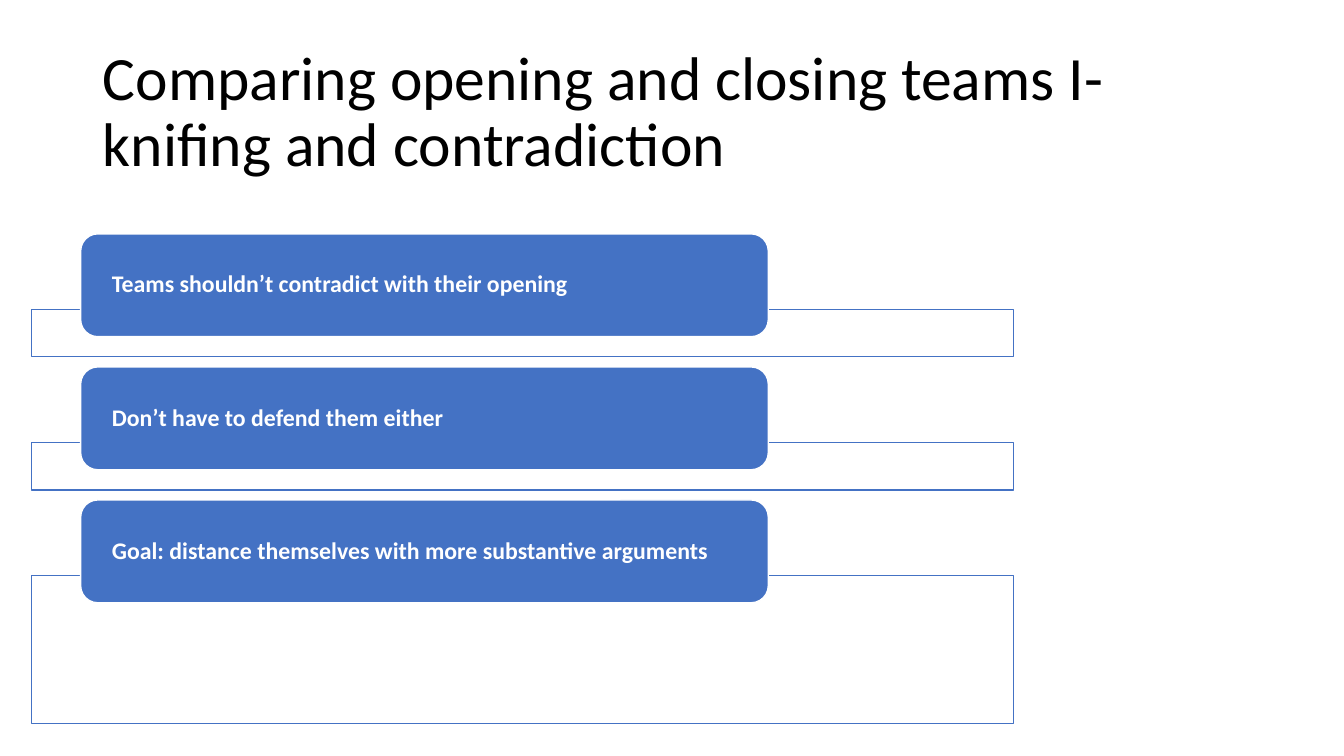
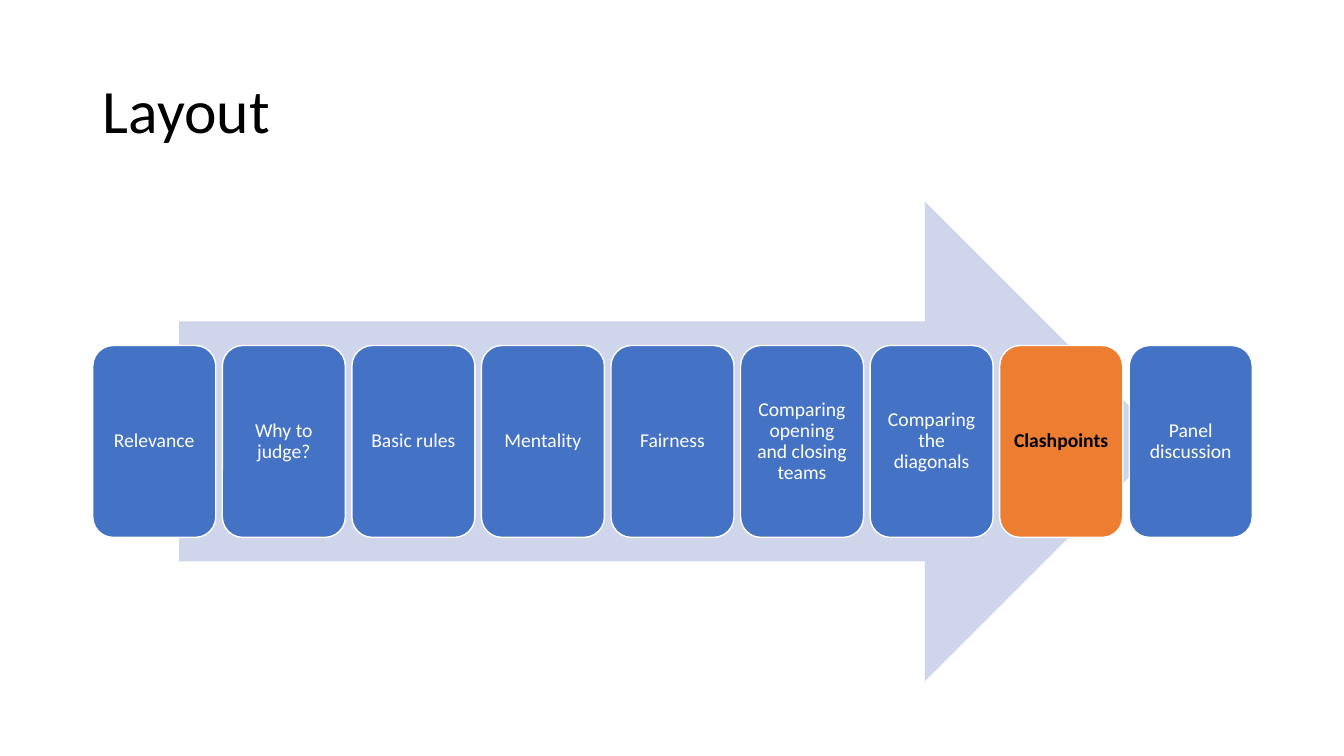
from dataclasses import dataclass

from lxml.etree import SubElement
from pptx import Presentation
from pptx.dml.color import RGBColor
from pptx.enum.shapes import MSO_SHAPE
from pptx.enum.text import MSO_ANCHOR, MSO_AUTO_SIZE, PP_ALIGN
from pptx.oxml.ns import qn
from pptx.util import Inches, Pt


@dataclass(frozen=True)
class Theme:
    font: str = "Calibri"
    blue: str = "4472C4"
    orange: str = "ED7D31"
    pale: str = "CFD5EA"
    white: str = "FFFFFF"
    black: str = "000000"
    title_size: int = 44
    point_size: int = 17
    step_size: int = 14
    spacing: float = 0.9


THEME = Theme()
WIDTH, HEIGHT = 13.33, 7.5
LEFT, CONTENT_WIDTH = 0.92, 11.5

# Content
POINTS_TITLE = "Comparing opening and closing teams I-\vknifing and contradiction"
POINTS = [  # text, height of the frame behind it
    ("Teams shouldn’t contradict with their opening", 0.47),
    ("Don’t have to defend them either", 0.47),
    ("Goal: distance themselves with more substantive arguments", 1.47),
]
STEPS_TITLE = "Layout"
STEPS = [
    "Relevance", "Why to judge?", "Basic rules", "Mentality", "Fairness",
    "Comparing opening and closing teams", "Comparing the diagonals",
    "Clashpoints", "Panel discussion",
]
CURRENT_STEP = "Clashpoints"


def set_text(shape, text, size, color, align=PP_ALIGN.LEFT, bold=False):
    frame = shape.text_frame
    frame.text = text
    frame.word_wrap = True
    frame.auto_size = MSO_AUTO_SIZE.NONE
    frame.vertical_anchor = MSO_ANCHOR.MIDDLE
    for para in frame.paragraphs:
        para.alignment = align
        para.line_spacing = THEME.spacing
        for span in para.runs:
            span.font.name = THEME.font
            span.font.size = Pt(size)
            span.font.bold = bold
            span.font.color.rgb = RGBColor.from_string(color)


def set_insets(shape, horizontal, vertical):
    frame = shape.text_frame
    frame.margin_left = frame.margin_right = Inches(horizontal)
    frame.margin_top = frame.margin_bottom = Inches(vertical)


def add_box(page, kind, left, top, width, height, fill, line=None):
    box = page.shapes.add_shape(kind, *map(Inches, (left, top, width, height)))
    box.shadow.inherit = False
    box.fill.solid()
    box.fill.fore_color.rgb = RGBColor.from_string(fill)
    if line:
        box.line.color.rgb = RGBColor.from_string(line)
        box.line.width = Pt(1)
    else:
        box.line.fill.background()
    return box


def set_opacity(box, percent):
    color = box.fill._xPr.find(qn("a:solidFill"))[0]
    SubElement(color, qn("a:alpha")).set("val", str(percent * 1000))


def add_page(deck, layout, title):
    page = deck.slides.add_slide(layout)
    set_text(page.shapes.title, title, THEME.title_size, THEME.black)
    return page


def build_points(page):
    card_left, card_top, card_width, card_height = 0.8, 2.32, 6.82, 1.02
    frame_left, frame_width = 0.31, 9.74
    frame_drop, gap = 0.75, 0.1
    top = card_top
    for text, frame_height in POINTS:
        frame = add_box(page, MSO_SHAPE.RECTANGLE, frame_left, top + frame_drop,
                        frame_width, frame_height, THEME.white, THEME.blue)
        set_opacity(frame, 90)
        card = add_box(page, MSO_SHAPE.ROUNDED_RECTANGLE, card_left, top,
                       card_width, card_height, THEME.blue, THEME.white)
        set_insets(card, 0.26, 0)
        set_text(card, text, THEME.point_size, THEME.white, bold=True)
        top += frame_drop + frame_height + gap


def build_steps(page):
    # Arrow, centred on the row of cards
    middle, arrow_height = 4.38, 4.76
    arrow_width = 0.85 * CONTENT_WIDTH
    add_box(page, MSO_SHAPE.RIGHT_ARROW, (WIDTH - arrow_width) / 2,
            middle - arrow_height / 2, arrow_width, arrow_height, THEME.pale)

    # Cards, evenly spread over the content width
    card_width, card_height = 1.22, 0.4 * arrow_height
    pitch = (CONTENT_WIDTH - card_width) / (len(STEPS) - 1)
    for index, text in enumerate(STEPS):
        current = text == CURRENT_STEP
        card = add_box(page, MSO_SHAPE.ROUNDED_RECTANGLE, LEFT + index * pitch,
                       middle - card_height / 2, card_width, card_height,
                       THEME.orange if current else THEME.blue, THEME.white)
        set_insets(card, 0.06, 0.06)
        set_text(card, text, THEME.step_size,
                 THEME.black if current else THEME.white,
                 PP_ALIGN.CENTER, bold=current)


def main():
    deck = Presentation()
    deck.slide_width, deck.slide_height = Inches(WIDTH), Inches(HEIGHT)

    # Shared title position
    layout = deck.slide_layouts.get_by_name("Title Only")
    title = layout.placeholders[0]
    title.left, title.top = Inches(LEFT), Inches(0.4)
    title.width, title.height = Inches(CONTENT_WIDTH), Inches(1.45)

    build_points(add_page(deck, layout, POINTS_TITLE))
    build_steps(add_page(deck, layout, STEPS_TITLE))
    deck.save("out.pptx")


if __name__ == "__main__":
    main()
